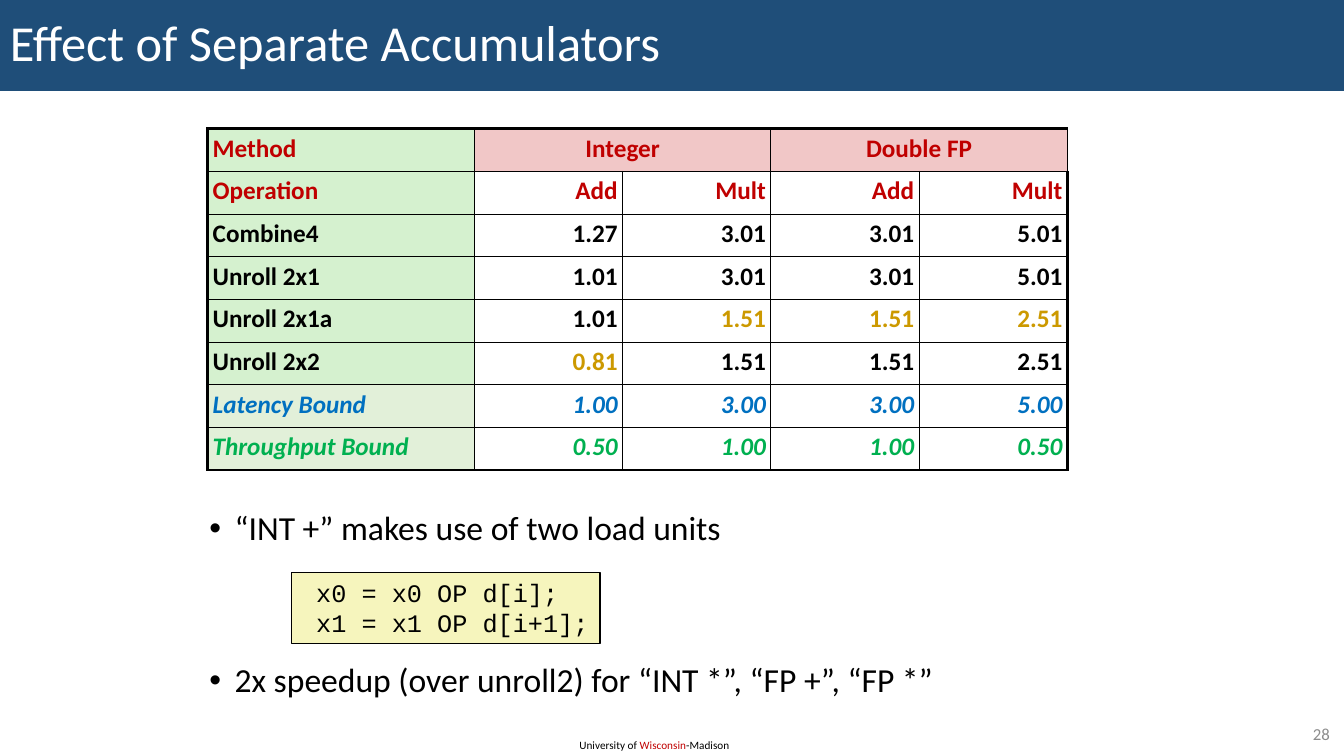
from lxml import etree
from pptx import Presentation
from pptx.dml.color import RGBColor
from pptx.enum.shapes import MSO_SHAPE
from pptx.enum.text import MSO_ANCHOR, PP_ALIGN
from pptx.oxml.ns import qn
from pptx.util import Pt

LEFT, CENTER, RIGHT = PP_ALIGN.LEFT, PP_ALIGN.CENTER, PP_ALIGN.RIGHT
TOP, MIDDLE = MSO_ANCHOR.TOP, MSO_ANCHOR.MIDDLE
RECTANGLE = MSO_SHAPE.RECTANGLE

BLACK, WHITE, RED = "000000", "FFFFFF", "C00000"
NAVY, GRAY, CREAM = "1F4E79", "8C8C8C", "F6F5BD"
GOLD, BLUE, GREEN = "CC9900", "0070C0", "00B050"
MINT, PALE_GREEN, PINK = "D5F1CF", "E2F0D9", "F1C7C7"

ROWS = [
    ("Method", "Integer", "", "Double FP", ""),
    ("Operation", "Add", "Mult", "Add", "Mult"),
    ("Combine4", "1.27", "3.01", "3.01", "5.01"),
    ("Unroll 2x1", "1.01", "3.01", "3.01", "5.01"),
    ("Unroll 2x1a", "1.01", "1.51", "1.51", "2.51"),
    ("Unroll 2x2", "0.81", "1.51", "1.51", "2.51"),
    ("Latency Bound", "1.00", "3.00", "3.00", "5.00"),
    ("Throughput Bound", "0.50", "1.00", "1.00", "0.50"),
]
ROW_COLORS = [RED, RED, BLACK, BLACK, BLACK, BLACK, BLUE, GREEN]
IMPROVED = {(4, 2), (4, 3), (4, 4), (5, 1)}
FIRST_BOUND_ROW = 6


def rgb(color):
    return RGBColor.from_string(color)


def set_attrs(obj, values):
    for name, value in values.items():
        setattr(obj, name, value)


class SlideBuilder:
    font = "Calibri"
    code_font = "Courier New"

    def __init__(self, prs):
        self.s = prs.slides.add_slide(prs.slide_layouts[6])

    def add_runs(self, p, runs, size, font=None, align=LEFT, spacing=1.0, **style):
        """Fill a paragraph with (text, color) runs."""
        set_attrs(p, {"alignment": align, "line_spacing": spacing})
        for text, color in runs:
            r = p.add_run()
            r.text = text
            set_attrs(r.font, {"name": font or self.font, "size": Pt(size), **style})
            r.font.color.rgb = rgb(color)

    def text(self, box, runs, size, anchor=TOP, **style):
        sp = self.s.shapes.add_textbox(*map(Pt, box))
        set_attrs(sp.text_frame, {"word_wrap": True, "vertical_anchor": anchor})
        self.add_runs(sp.text_frame.paragraphs[0], runs, size, **style)

    def panel(self, box, fill, lines, size, color, line=None, anchor=TOP,
              wrap=True, **style):
        """Draw a filled rectangle with one paragraph for each line of text."""
        sp = self.s.shapes.add_shape(RECTANGLE, *map(Pt, box))
        sp.shadow.inherit = False
        sp.fill.solid()
        sp.fill.fore_color.rgb = rgb(fill)
        if line:
            sp.line.color.rgb = rgb(line)
            sp.line.width = Pt(1)
        else:
            sp.line.fill.background()
        tf = sp.text_frame
        set_attrs(tf, {"word_wrap": wrap, "vertical_anchor": anchor})
        for i, text in enumerate(lines):
            p = tf.add_paragraph() if i else tf.paragraphs[0]
            self.add_runs(p, [(text, color)], size, **style)

    def bullets(self, box, items, size, gap):
        tf = self.s.shapes.add_textbox(*map(Pt, box)).text_frame
        tf.word_wrap = True
        for i, text in enumerate(items):
            p = tf.add_paragraph() if i else tf.paragraphs[0]
            pPr = p._p.get_or_add_pPr()
            pPr.set("marL", str(Pt(18)))
            pPr.set("indent", str(-Pt(18)))
            etree.SubElement(pPr, qn("a:buFont")).set("typeface", "Arial")
            etree.SubElement(pPr, qn("a:buChar")).set("char", "•")
            if i:
                p.space_before = Pt(gap)
            self.add_runs(p, [(text, BLACK)], size, spacing=0.9)

    def border(self, cell, side, width):
        ln = etree.SubElement(cell._tc.get_or_add_tcPr(), qn(f"a:ln{side}"))
        ln.set("w", str(Pt(width)))
        fill = etree.SubElement(ln, qn("a:solidFill"))
        etree.SubElement(fill, qn("a:srgbClr")).set("val", BLACK)

    def cell(self, cell, text, color, fill, outer, **style):
        """Style a cell; outer holds the sides on the table's edge."""
        for side in "LRTB":
            self.border(cell, side, 2.25 if side in outer else 1)
        if fill:
            cell.fill.solid()
            cell.fill.fore_color.rgb = rgb(fill)
        else:
            cell.fill.background()
        sides = ("left", "right", "top", "bottom")
        set_attrs(cell, {f"margin_{side}": Pt(3.6) for side in sides})
        if text:
            self.add_runs(cell.text_frame.paragraphs[0], [(text, color)], 18,
                          spacing=0.95, bold=True, **style)

    def timing_table(self, left, top, widths, row_height):
        n_rows, n_cols = len(ROWS), len(widths)
        table = self.s.shapes.add_table(
            n_rows, n_cols, Pt(left), Pt(top),
            Pt(sum(widths)), Pt(row_height * n_rows)).table
        set_attrs(table, {"first_row": False, "horz_banding": False})
        for column, width in zip(table.columns, widths):
            column.width = Pt(width)
        for i, values in enumerate(ROWS):
            table.rows[i].height = Pt(row_height)
            for j, text in enumerate(values):
                if j == 0:
                    fill = MINT if i < FIRST_BOUND_ROW else PALE_GREEN
                else:
                    fill = PINK if i == 0 else None
                edges = {"L": j == 0, "R": j == n_cols - 1,
                         "T": i == 0, "B": i == n_rows - 1}
                self.cell(
                    table.cell(i, j), text,
                    GOLD if (i, j) in IMPROVED else ROW_COLORS[i], fill,
                    [side for side, on_edge in edges.items() if on_edge],
                    align=LEFT if j == 0 else CENTER if i == 0 else RIGHT,
                    italic=i >= FIRST_BOUND_ROW)
        for j in (1, 3):
            table.cell(0, j).merge(table.cell(0, j + 1))


def main():
    prs = Presentation()
    set_attrs(prs, {"slide_width": Pt(960), "slide_height": Pt(540)})
    slide = SlideBuilder(prs)
    slide.text((406.8, 524, 124, 17),
               [("University of ", BLACK), ("Wisconsin", RED), ("-Madison", BLACK)], 8)
    slide.panel((0, 0, 960, 65), NAVY, ["Effect of Separate Accumulators"],
                36, WHITE, anchor=MIDDLE, spacing=0.9)
    slide.bullets((142.5, 362, 654.5, 147.5),
                  ["“INT +” makes use of two load units",
                   "2x speedup (over unroll2) for “INT *”, “FP +”, “FP *”"],
                  24, gap=82.7)
    slide.panel((208, 409, 220.5, 50.5), CREAM,
                [" x0 = x0 OP d[i];", " x1 = x1 OP d[i+1];"],
                18, BLACK, line=BLACK, wrap=False, font=slide.code_font)
    slide.timing_table(148.3, 92, [190.6] + [105.9] * 4, 30.5)
    slide.text((902, 513.5, 55, 21), [("28", GRAY)], 12, anchor=MIDDLE, align=RIGHT)
    prs.save("out.pptx")


if __name__ == "__main__":
    main()
